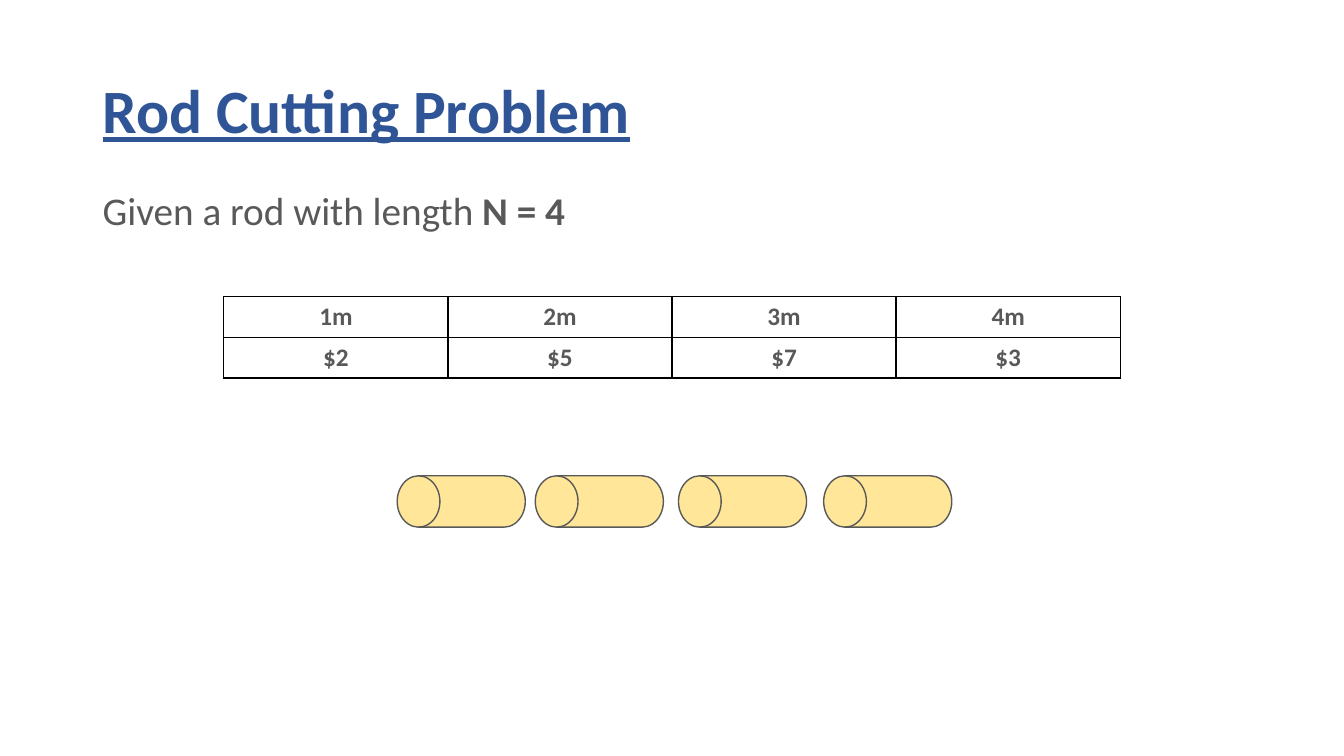
import pptx
import pptx.dml.color
import pptx.enum.shapes
import pptx.enum.text
import pptx.oxml
import pptx.oxml.ns
import pptx.util
from pptx.util import Inches

COLORS = {"heading": "2F5597", "text": "595959", "border": "000000",
          "rod": "FFE699", "paper": "FFFFFF"}
FONT = "Calibri"
PRICES = [("1m", "2m", "3m", "4m"), ("$2", "$5", "$7", "$3")]
ROD_OFFSETS = (0, 1.37, 2.79, 4.23)


def rgb(name):
    """Return the named colour."""
    return pptx.dml.color.RGBColor.from_string(COLORS[name])


def style(font, size, color, bold=False, underline=False):
    """Format one font."""
    font.name = FONT
    font.size = pptx.util.Pt(size)
    font.color.rgb = rgb(color)
    font.bold = bold
    font.underline = underline


def add_line_of_text(slide, box, anchor, pieces):
    """Place a paragraph in the box, with each piece given as text and font settings."""
    frame = slide.shapes.add_textbox(*map(Inches, box)).text_frame
    frame.word_wrap = True
    frame.vertical_anchor = anchor
    paragraph = frame.paragraphs[0]
    paragraph.line_spacing = 0.9
    for words, settings in pieces:
        run = paragraph.add_run()
        run.text = words
        style(run.font, **settings)


def add_borders(cell):
    """Draw a thin line on each side of a cell."""
    properties = cell._tc.get_or_add_tcPr()
    for side in ("lnL", "lnR", "lnT", "lnB"):
        properties.append(pptx.oxml.parse_xml(
            f'<a:{side} {pptx.oxml.ns.nsdecls("a")} w="12700"><a:solidFill>'
            f'<a:srgbClr val="{COLORS["border"]}"/></a:solidFill></a:{side}>'))


def add_price_table(slide, box):
    """Fill the box with the price of each rod length."""
    table = slide.shapes.add_table(
        len(PRICES), len(PRICES[0]), *map(Inches, box)).table
    table.first_row = table.horz_banding = False
    for row, values in enumerate(PRICES):
        for column, value in enumerate(values):
            cell = table.cell(row, column)
            add_borders(cell)
            cell.fill.solid()
            cell.fill.fore_color.rgb = rgb("paper")
            cell.text_frame.text = value
            paragraph = cell.text_frame.paragraphs[0]
            paragraph.alignment = pptx.enum.text.PP_ALIGN.CENTER
            style(paragraph.runs[0].font, 18, "text", bold=True)


def add_rods(slide, left, top, width, height):
    """Lay the unit rods side by side, starting from the given upright box."""
    for offset in ROD_OFFSETS:
        rod = slide.shapes.add_shape(
            pptx.enum.shapes.MSO_SHAPE.FLOWCHART_MAGNETIC_DISK,
            Inches(left + offset), Inches(top), Inches(width), Inches(height))
        rod.rotation = 270
        rod.shadow.inherit = False
        rod.fill.solid()
        rod.fill.fore_color.rgb = rgb("rod")
        rod.line.color.rgb = rgb("text")
        rod.line.width = pptx.util.Pt(1)


def main():
    """Build and save the slide."""
    presentation = pptx.Presentation()
    presentation.slide_width = Inches(13.33)
    presentation.slide_height = Inches(7.5)
    slide = presentation.slides.add_slide(presentation.slide_layouts[6])
    anchors = pptx.enum.text.MSO_ANCHOR
    add_line_of_text(slide, (0.92, 0.4, 11.5, 1.45), anchors.MIDDLE, [
        ("Rod Cutting Problem",
         dict(size=44, color="heading", bold=True, underline=True))])
    add_line_of_text(slide, (0.92, 1.85, 11.5, 5.25), anchors.TOP, [
        ("Given a rod with length ", dict(size=28, color="text")),
        ("N = 4", dict(size=28, color="text", bold=True))])
    add_price_table(slide, (2.22, 2.94, 8.89, 0.81))
    add_rods(slide, 4.32, 4.34, 0.51, 1.27)
    presentation.save("out.pptx")


if __name__ == "__main__":
    main()
